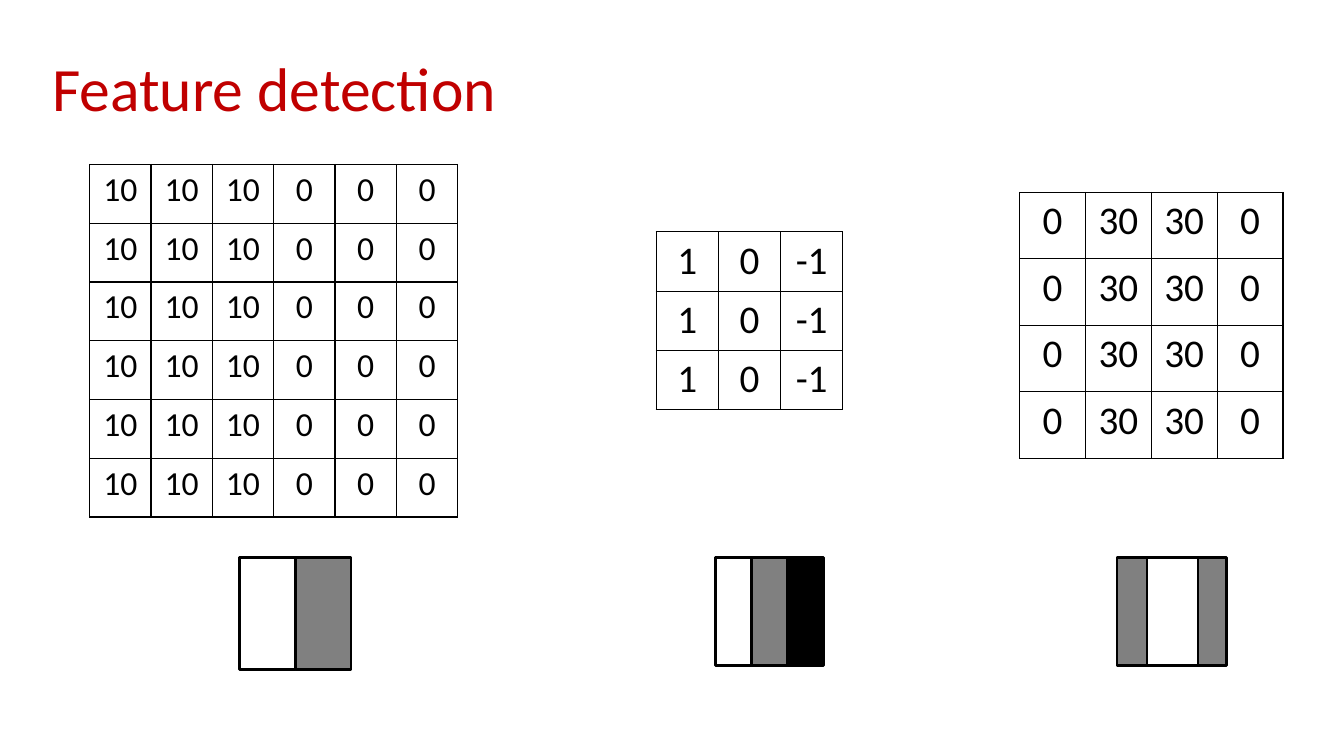
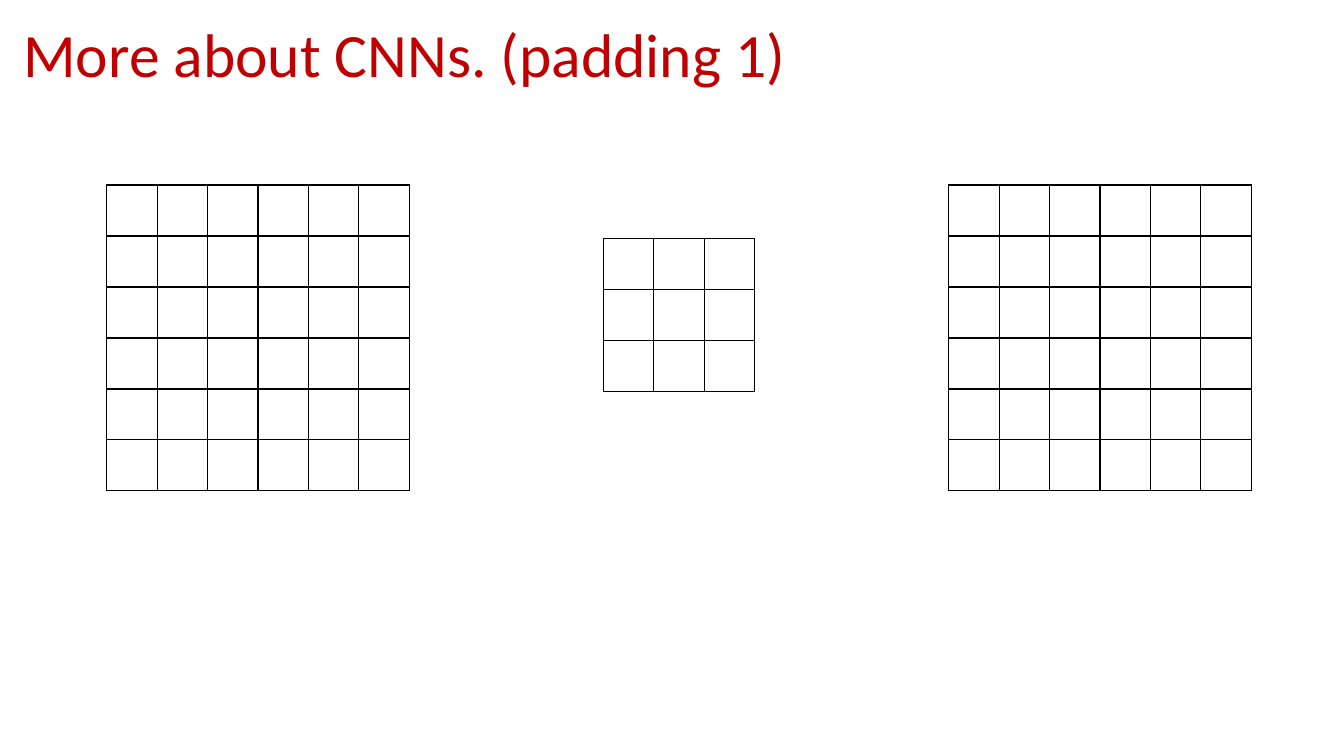
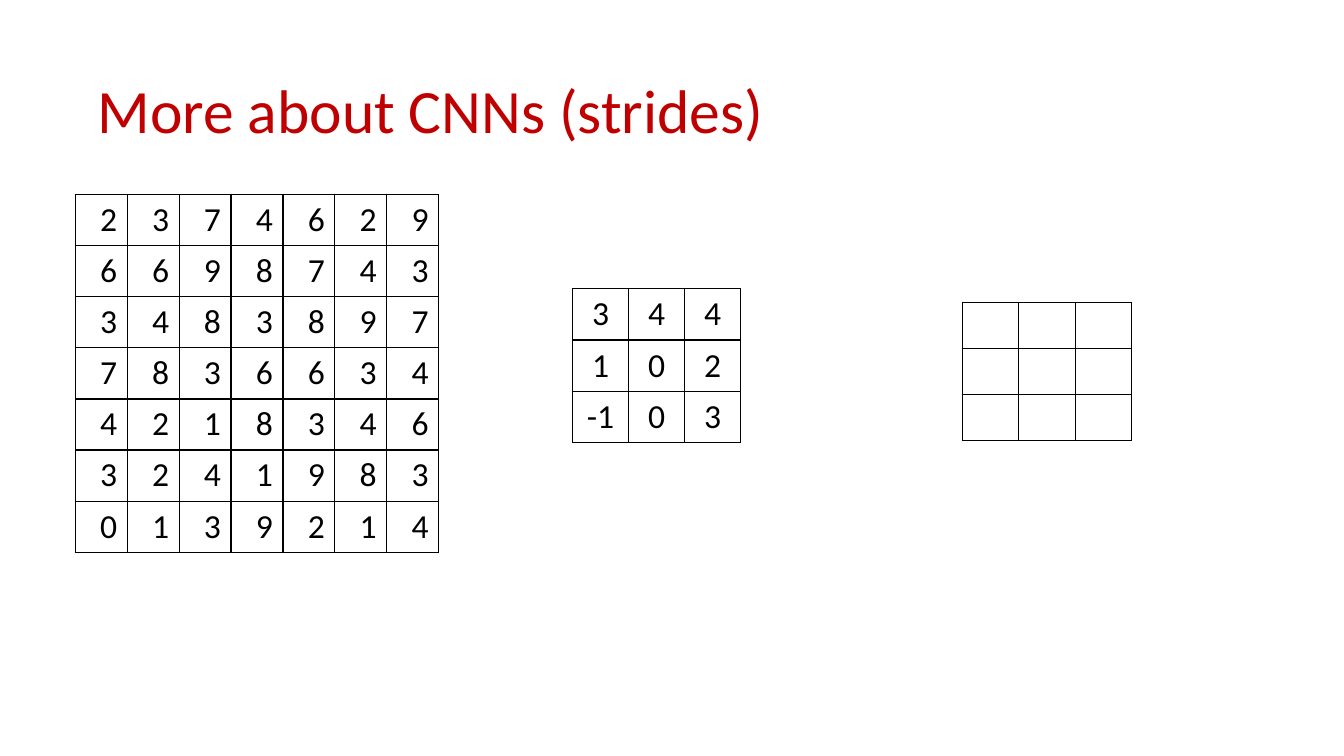
from lxml import etree
from pptx import Presentation
from pptx.dml.color import RGBColor
from pptx.enum.shapes import MSO_SHAPE
from pptx.enum.text import MSO_ANCHOR, MSO_AUTO_SIZE, PP_ALIGN
from pptx.oxml.ns import qn
from pptx.util import Pt

RECTANGLE = MSO_SHAPE.RECTANGLE
MIDDLE = MSO_ANCHOR.MIDDLE
NO_AUTOFIT = MSO_AUTO_SIZE.NONE
LEFT, CENTER, RIGHT = PP_ALIGN.LEFT, PP_ALIGN.CENTER, PP_ALIGN.RIGHT

# Shared style
FONT = "Calibri"
RED, BLACK, GRAY, WHITE = "C00000", "000000", "808080", "FFFFFF"
TITLE_ONLY_LAYOUT = 5


def color(hex_string):
    return RGBColor.from_string(hex_string)


class Deck:
    """Holds the presentation style and the slide being built."""

    def __init__(self):
        self.presentation = Presentation()
        self.presentation.slide_width = Pt(960)
        self.presentation.slide_height = Pt(540)
        self.slide = None

    def add_run(self, paragraph, text, size, font_color):
        run = paragraph.add_run()
        run.text = text
        run.font.name = FONT
        run.font.size = Pt(size)
        run.font.color.rgb = color(font_color)

    def add_slide(self, title, left, top):
        layout = self.presentation.slide_layouts[TITLE_ONLY_LAYOUT]
        self.slide = self.presentation.slides.add_slide(layout)
        shape = self.slide.shapes.title
        shape.left, shape.top = Pt(left), Pt(top)
        shape.width, shape.height = Pt(828), Pt(104.4)
        frame = shape.text_frame
        frame.word_wrap = True
        frame.auto_size = NO_AUTOFIT
        frame.vertical_anchor = MIDDLE
        frame.margin_left = frame.margin_right = Pt(3.6)
        frame.margin_top = frame.margin_bottom = Pt(3.6)
        paragraph = frame.paragraphs[0]
        paragraph.alignment = LEFT
        paragraph.line_spacing = 0.9
        self.add_run(paragraph, title, 44, RED)

    def add_borders(self, cell):
        properties = cell._tc.get_or_add_tcPr()
        for index, side in enumerate(("lnL", "lnR", "lnT", "lnB")):
            line = etree.Element(qn(f"a:{side}"), w=str(Pt(1)))
            fill = etree.SubElement(line, qn("a:solidFill"))
            etree.SubElement(fill, qn("a:srgbClr"), val=BLACK)
            properties.insert(index, line)

    def add_matrix(self, values, left, top, cell_width, cell_height,
                   size=24, alignment=CENTER, fill=None):
        row_count, column_count = len(values), len(values[0])
        table = self.slide.shapes.add_table(
            row_count, column_count, Pt(left), Pt(top),
            Pt(cell_width * column_count), Pt(cell_height * row_count)).table
        table.first_row = table.horz_banding = False
        for column in table.columns:
            column.width = Pt(cell_width)
        for row, row_values in zip(table.rows, values):
            row.height = Pt(cell_height)
            for cell, value in zip(row.cells, row_values):
                if fill:
                    cell.fill.solid()
                    cell.fill.fore_color.rgb = color(fill)
                else:
                    cell.fill.background()
                self.add_borders(cell)
                if value is not None:
                    paragraph = cell.text_frame.paragraphs[0]
                    paragraph.alignment = alignment
                    self.add_run(paragraph, str(value), size, BLACK)

    def add_empty_matrix(self, count, *place, **style):
        self.add_matrix([[None] * count] * count, *place, **style)

    def add_stripes(self, height, stripes):
        """Groups vertical bars given as (left, width, fill), back to front."""
        group = self.slide.shapes.add_group_shape()
        for left, width, fill in stripes:
            shape = group.shapes.add_shape(
                RECTANGLE, Pt(left), Pt(398.2), Pt(width), Pt(height))
            shape.shadow.inherit = False
            shape.fill.solid()
            shape.fill.fore_color.rgb = color(fill)
            shape.line.color.rgb = color(BLACK)
            shape.line.width = Pt(2)


def main():
    deck = Deck()

    # Feature detection: input, kernel, result
    deck.add_slide("Feature detection", 33.8, 13)
    deck.add_matrix([[10] * 3 + [0] * 3] * 6, 64, 117.4, 43.85, 42)
    deck.add_matrix([[1, 0, -1]] * 3, 468.8, 165.6, 44.4, 42.4, size=28)
    deck.add_matrix([[0, 30, 30, 0]] * 4, 728.4, 137.4, 47, 47.5, size=28)

    # The same three as gray stripes
    deck.add_stripes(80, [(171.2 + 39.8 * index, 39.8, fill)
                          for index, fill in enumerate((WHITE, GRAY))])
    deck.add_stripes(77, [(511 + 25.7 * index, 25.7, fill)
                          for index, fill in enumerate((WHITE, GRAY, BLACK))])
    deck.add_stripes(77, [(850.3, 25.7, GRAY), (797.9, 25.7, GRAY),
                          (819.3, 36.5, WHITE)])

    # Padding: empty input, kernel, result
    deck.add_slide("More about CNNs. (padding 1)", 13, -10.9)
    for count, left, top in ((6, 76.3, 132.2), (3, 431, 170.2),
                             (6, 677.7, 132.2)):
        deck.add_empty_matrix(count, left, top, 36, 36.4)

    # Strides: input, kernel, empty result
    deck.add_slide("More about CNNs (strides)", 66, 28.8)
    deck.add_matrix([
        [2, 3, 7, 4, 6, 2, 9],
        [6, 6, 9, 8, 7, 4, 3],
        [3, 4, 8, 3, 8, 9, 7],
        [7, 8, 3, 6, 6, 3, 4],
        [4, 2, 1, 8, 3, 4, 6],
        [3, 2, 4, 1, 9, 8, 3],
        [0, 1, 3, 9, 2, 1, 4],
    ], 53.8, 138.9, 37.1, 36.5, alignment=RIGHT)
    deck.add_matrix([[3, 4, 4], [1, 0, 2], [-1, 0, 3]],
                    408.9, 206.3, 40.1, 36.6)
    deck.add_empty_matrix(3, 687.4, 216, 40.3, 32.9, fill=WHITE)

    deck.presentation.save("out.pptx")


if __name__ == "__main__":
    main()
